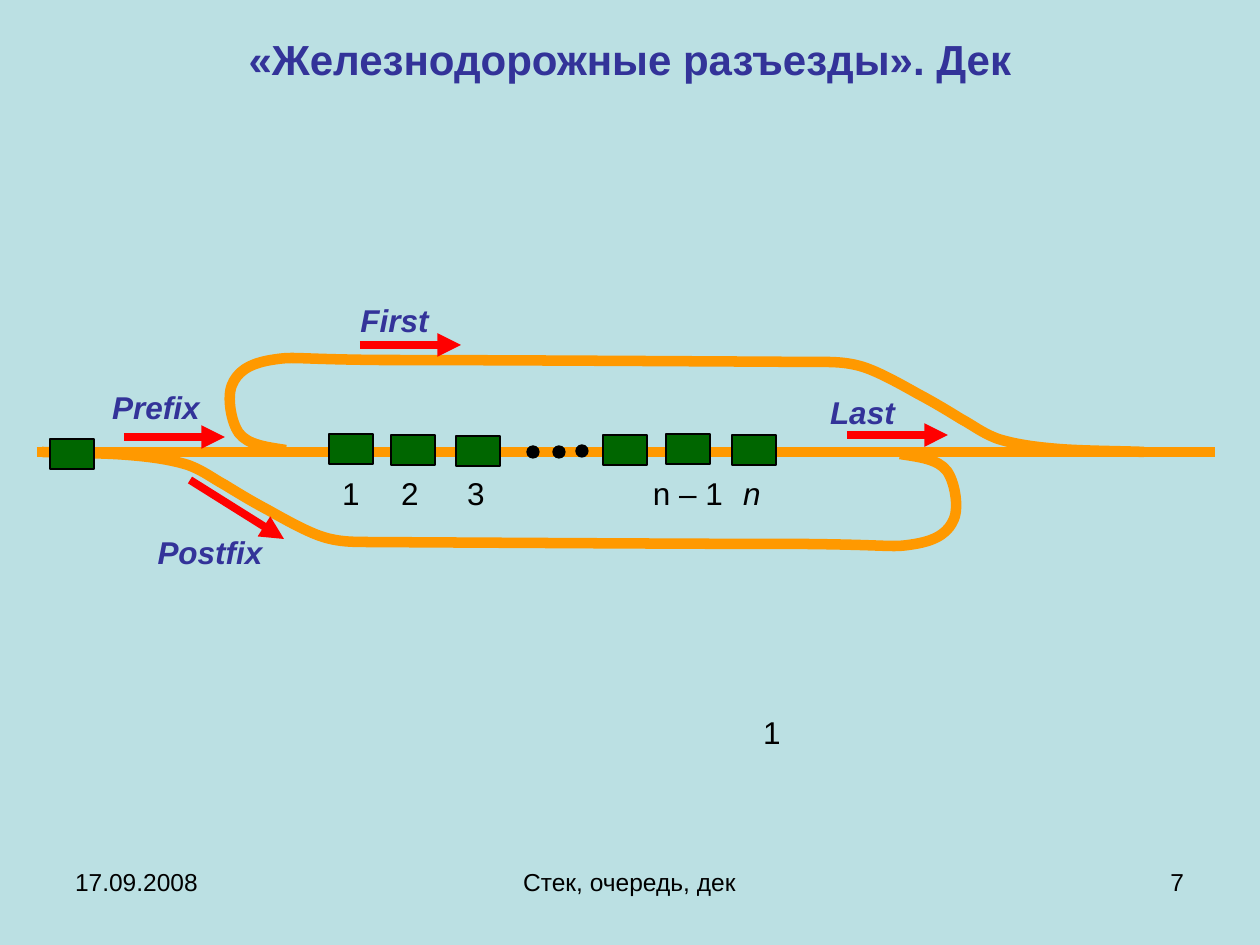
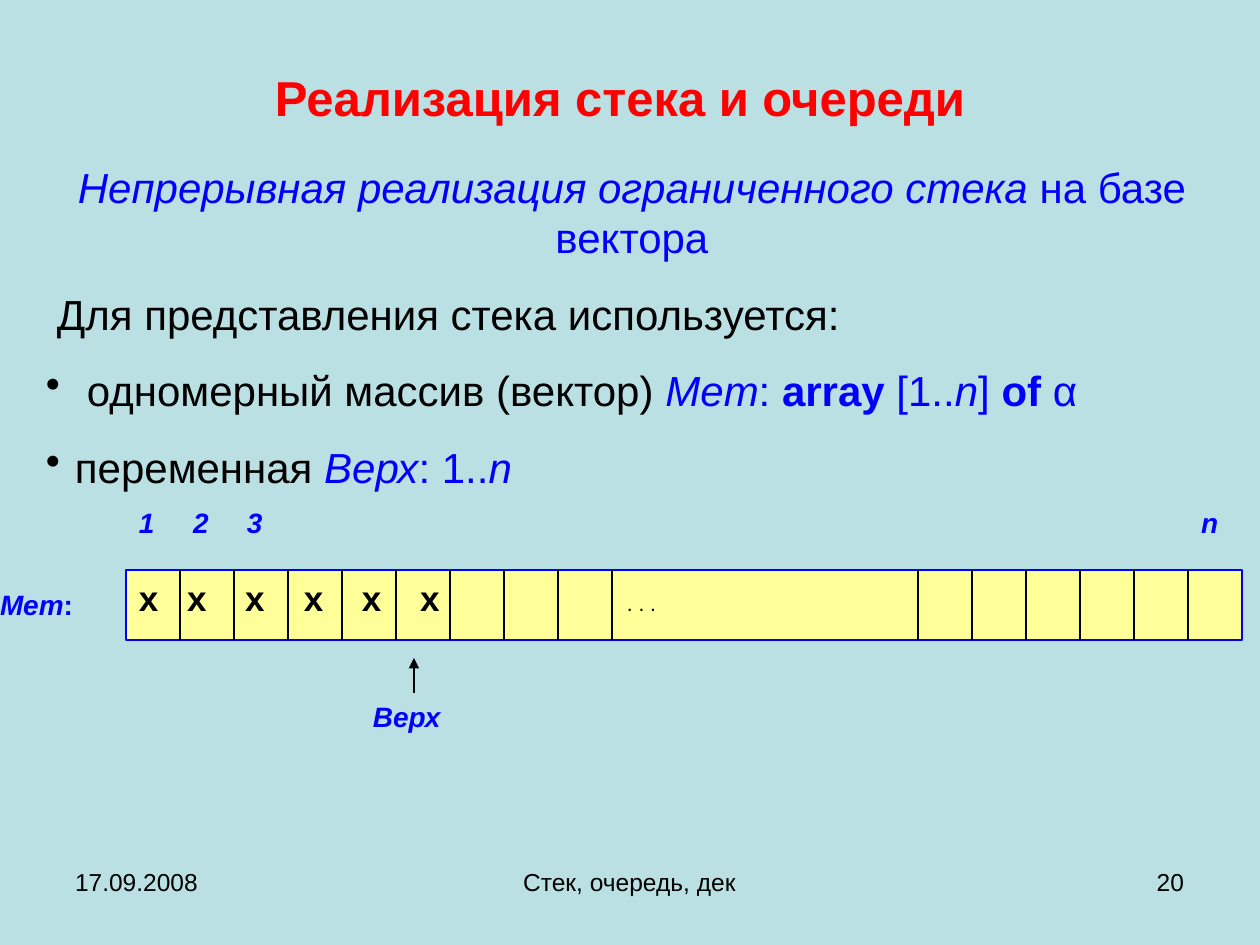
"""Build two slides on the deque as railway sidings and on a stack kept in a vector."""
from lxml import etree
from pptx import Presentation
from pptx.dml.color import RGBColor
from pptx.enum.shapes import MSO_CONNECTOR, MSO_SHAPE
from pptx.enum.text import MSO_ANCHOR, PP_ALIGN
from pptx.oxml.ns import qn
from pptx.util import Pt

EMU_PER_PX = 914400 / 126
STRAIGHT = MSO_CONNECTOR.STRAIGHT
RECTANGLE, OVAL = MSO_SHAPE.RECTANGLE, MSO_SHAPE.OVAL
LEFT, CENTER, RIGHT = PP_ALIGN.LEFT, PP_ALIGN.CENTER, PP_ALIGN.RIGHT
TOP, MIDDLE = MSO_ANCHOR.TOP, MSO_ANCHOR.MIDDLE

FONT = "Arial"
BACKGROUND, BLACK, RED = "BBE0E3", "000000", "FF0000"
INDIGO, BLUE = "333399", "0000FF"
TRACK, CAR, CELL = "FF9900", "006600", "FFFF99"
INSETS = (13, 6, 13, 6)
LABEL_INSETS = (0, 6, 0, 6)
TIGHT_INSETS = (3, 1, 3, 1)

TRACK_LABEL = {"size": Pt(18), "bold": True, "italic": True, "color": INDIGO}
NUMBER = {"size": Pt(18), "color": BLACK}
VECTOR_LABEL = {"size": Pt(16), "bold": True, "italic": True, "color": BLUE}
BODY = {"size": Pt(24), "color": BLACK}
CODE = {**BODY, "color": BLUE}
CODE_ITALIC = {**CODE, "italic": True}
CODE_BOLD = {**CODE, "bold": True}

LOOP = [(286, 450), (267, 447), (248, 445), (239, 433), (231, 422), (227, 397),
        (232, 385), (237, 373), (247, 364), (271, 360), (296, 356), (287, 359),
        (379, 360), (470, 360), (645, 361), (820, 362)]
RAMP = [(820, 362), (833, 362), (847, 362), (863, 367), (879, 372), (902, 385),
        (918, 394), (935, 403), (948, 411), (961, 419), (974, 426), (982, 433),
        (998, 439), (1014, 444), (1033, 447), (1058, 449), (1082, 451),
        (1114, 451), (1144, 452)]
CARS = [(50, 439), (329, 434), (391, 435), (456, 436), (603, 435), (666, 434), (732, 435)]
DOTS = [(527, 446), (553, 446), (576, 445)]
CAR_NUMBERS = [("1", 337, 473), ("2", 396, 473), ("3", 462, 473), ("1", 758, 712)]
TRACK_LABELS = [("First", 348, 295, 93), ("Postfix", 145, 527, 130),
                ("Last", 818, 387, 89), ("Prefix", 100, 382, 112)]
TRACK_ARROWS = [((190, 480), (284, 539)), ((360, 345), (461, 345)),
                ((847, 435), (948, 435)), ((124, 437), (225, 437))]

VECTOR_LEFT, VECTOR_TOP, VECTOR_HEIGHT, CELL_WIDTH = 126, 570, 70, 54
GAP_RIGHT = 918


def px(length):
    """Turn pixels into EMU."""
    return round(length * EMU_PER_PX)


def rgb(color):
    """Turn a hex string into a colour."""
    return RGBColor.from_string(color)


def set_line(shape, color, width):
    """Give a shape or connector its line."""
    shape.line.color.rgb = rgb(color)
    shape.line.width = Pt(width)


def set_font(font, style):
    """Apply a dict of format values to a font."""
    font.name = FONT
    for name, value in style.items():
        if name == "color":
            font.color.rgb = rgb(value)
        else:
            setattr(font, name, value)


def add_runs(paragraph, runs):
    """Append (text, style) runs to a paragraph."""
    for text, style in runs:
        run = paragraph.add_run()
        run.text = text
        set_font(run.font, style)


def set_frame(shape, insets=INSETS, anchor=TOP):
    """Prepare the text frame of a shape and return it."""
    frame = shape.text_frame
    frame.word_wrap = True
    frame.vertical_anchor = anchor
    for side, inset in zip(("left", "top", "right", "bottom"), insets):
        setattr(frame, f"margin_{side}", px(inset))
    return frame


def add_text(slide, box, runs, align=LEFT, **frame_options):
    """Add a text box with one paragraph."""
    shape = slide.shapes.add_textbox(*map(px, box))
    paragraph = set_frame(shape, **frame_options).paragraphs[0]
    paragraph.alignment = align
    add_runs(paragraph, runs)


def add_block(slide, kind, box, fill, line, width):
    """Add a filled preset shape."""
    shape = slide.shapes.add_shape(kind, *map(px, box))
    shape.shadow.inherit = False
    shape.fill.solid()
    shape.fill.fore_color.rgb = rgb(fill)
    set_line(shape, line, width)
    return shape


def add_line(slide, start, end, color, width, arrow=False):
    """Add a straight line, with an arrowhead at its end if asked."""
    connector = slide.shapes.add_connector(STRAIGHT, *map(px, (*start, *end)))
    set_line(connector, color, width)
    properties = connector._element.spPr
    if arrow:
        etree.SubElement(properties.find(qn("a:ln")), qn("a:tailEnd"), type="triangle")
    etree.SubElement(properties, qn("a:effectLst"))


def add_curve(slide, points, color, width):
    """Add an open Bezier outline: a start, then three points to a segment."""
    start, *controls = [(px(x), px(y)) for x, y in points]
    builder = slide.shapes.build_freeform(*start)
    builder.add_line_segments(controls, close=False)
    shape = builder.convert_to_shape()
    shape.shadow.inherit = False
    shape.fill.background()
    set_line(shape, color, width)
    outline = next(shape._element.iter(qn("a:path")))
    segments = outline.findall(qn("a:lnTo"))
    for first in range(0, len(segments), 3):
        curve = etree.SubElement(outline, qn("a:cubicBezTo"))
        for segment in segments[first:first + 3]:
            curve.append(segment[0])
            outline.remove(segment)


def set_indent(paragraph, margin, bullet=False):
    """Set the left margin, hanging a bullet in it if asked."""
    properties = paragraph._p.get_or_add_pPr()
    properties.set("marL", str(px(margin)))
    properties.set("indent", str(-px(margin) if bullet else 0))
    if bullet:
        color = etree.SubElement(properties, qn("a:buClr"))
        etree.SubElement(color, qn("a:srgbClr"), val=BLACK)
        etree.SubElement(properties, qn("a:buChar"), char="•")


def set_tabs(paragraph, positions):
    """Set left tab stops."""
    tabs = etree.SubElement(paragraph._p.get_or_add_pPr(), qn("a:tabLst"))
    for position in positions:
        etree.SubElement(tabs, qn("a:tab"), pos=str(px(position)), algn="l")


def add_slide(presentation, number):
    """Add a slide with the shared background and footer."""
    slide = presentation.slides.add_slide(presentation.slide_layouts[6])
    slide.background.fill.solid()
    slide.background.fill.fore_color.rgb = rgb(BACKGROUND)
    footers = [("17.09.2008", 62, 294, LEFT), ("Стек, очередь, дек", 430, 399, CENTER),
               (number, 903, 294, RIGHT)]
    for text, left, width, align in footers:
        add_text(slide, (left, 861, width, 66), [(text, {"size": Pt(14), "color": BLACK})], align)
    return slide


def add_title(slide, text, top, height, size, color, **frame_options):
    """Add the bold centred title."""
    style = {"size": Pt(size), "bold": True, "color": color}
    add_text(slide, (63, top, 1134, height), [(text, style)], CENTER, **frame_options)


def build_deque_slide(presentation):
    """Build the railway picture of a deque."""
    slide = add_slide(presentation, "7")
    add_title(slide, "«Железнодорожные разъезды». Дек", 34, 93, 24, INDIGO,
              insets=(13, 0, 13, 0))
    add_line(slide, (37, 452), (1215, 452), TRACK, 6)
    for siding in (LOOP, RAMP):
        add_curve(slide, siding, TRACK, 6)
        add_curve(slide, [(1186 - x, 904 - y) for x, y in siding], TRACK, 6)
    for left, top in CARS:
        add_block(slide, RECTANGLE, (left, top, 44, 30), CAR, BLACK, 0.75)
    for left, top in DOTS:
        add_block(slide, OVAL, (left, top, 12, 12), BLACK, BLACK, 0.75)
    for text, left, top, width in TRACK_LABELS:
        add_text(slide, (left, top, width, 50), [(text, TRACK_LABEL)], CENTER,
                 insets=LABEL_INSETS)
    for start, end in TRACK_ARROWS:
        add_line(slide, start, end, RED, 4.5, arrow=True)
    for text, left, top in CAR_NUMBERS:
        add_text(slide, (left, top, 28, 40), [(text, NUMBER)], CENTER, insets=TIGHT_INSETS)
    add_text(slide, (650, 473, 76, 40), [("n – 1", NUMBER)], CENTER, insets=TIGHT_INSETS)
    add_text(slide, (738, 473, 28, 40), [("n", {**NUMBER, "italic": True})], CENTER,
             insets=TIGHT_INSETS)


def add_stack_description(slide):
    """Add the paragraphs that describe the stack."""
    paragraphs = [
        (CENTER, 0, False, [("Непрерывная реализация ограниченного стека", CODE_ITALIC),
                            (" на базе вектора", CODE)]),
        (LEFT, 11, False, [("Для представления стека используется:", BODY)]),
        (LEFT, 41, True, [("одномерный массив (вектор) ", BODY), ("Mem", CODE_ITALIC),
                          (": ", CODE), ("array ", CODE_BOLD), ("[1..", CODE),
                          ("n", CODE_ITALIC), ("] ", CODE), ("of ", CODE_BOLD), ("α", CODE)]),
        (LEFT, 29, True, [("переменная ", BODY), ("Верх", CODE_ITALIC), (": 1..", CODE),
                          ("n", CODE_ITALIC)]),
    ]
    frame = set_frame(slide.shapes.add_textbox(*map(px, (33, 155, 1198, 344))))
    for index, (align, margin, bullet, runs) in enumerate(paragraphs):
        paragraph = frame.add_paragraph() if index else frame.paragraphs[0]
        paragraph.alignment = align
        if index:
            paragraph.space_before = Pt(15)
        set_indent(paragraph, margin, bullet)
        add_runs(paragraph, runs)


def add_vector(slide):
    """Add the vector with its cells, indexes and top pointer."""
    box = (VECTOR_LEFT, VECTOR_TOP, 1116, VECTOR_HEIGHT)
    vector = add_block(slide, RECTANGLE, box, CELL, BLUE, 1.5)
    paragraph = set_frame(vector).paragraphs[0]
    paragraph.alignment = LEFT
    set_tabs(paragraph, [48, 106, 165, 223, 281, 488])
    add_runs(paragraph, [("\t".join("x" * 6), {"size": Pt(20), "bold": True, "color": BLACK}),
                         ("\t. . .", {"size": Pt(12), "color": BLACK})])
    borders = [VECTOR_LEFT + CELL_WIDTH * cell for cell in range(1, 10)]
    borders += [GAP_RIGHT + CELL_WIDTH * cell for cell in range(6)]
    for left in borders:
        add_line(slide, (left, VECTOR_TOP), (left, VECTOR_TOP + VECTOR_HEIGHT), BLACK, 0.75)
    for text, cell_left in zip("123n", (126, 180, 234, 1188)):
        add_text(slide, (cell_left, 500, 72, 70), [(text, VECTOR_LABEL)])
    add_text(slide, (0, 588, 144, 53),
             [("Mem", VECTOR_LABEL), (":", {**VECTOR_LABEL, "italic": False})],
             insets=(0, 0, 0, 0))
    add_line(slide, (414, 693), (414, 658), BLACK, 0.75, arrow=True)
    add_text(slide, (360, 694, 126, 106), [("Верх", VECTOR_LABEL)])


def build_stack_slide(presentation):
    """Build the slide on the stack kept in a vector."""
    slide = add_slide(presentation, "20")
    add_title(slide, "Реализация стека и очереди", 38, 102, 28, RED,
              insets=(13, 22, 33, 6), anchor=MIDDLE)
    add_vector(slide)
    add_stack_description(slide)


def main():
    """Build and save the presentation."""
    presentation = Presentation()
    presentation.slide_width, presentation.slide_height = px(1260), px(945)
    build_deque_slide(presentation)
    build_stack_slide(presentation)
    presentation.save("out.pptx")


if __name__ == "__main__":
    main()
